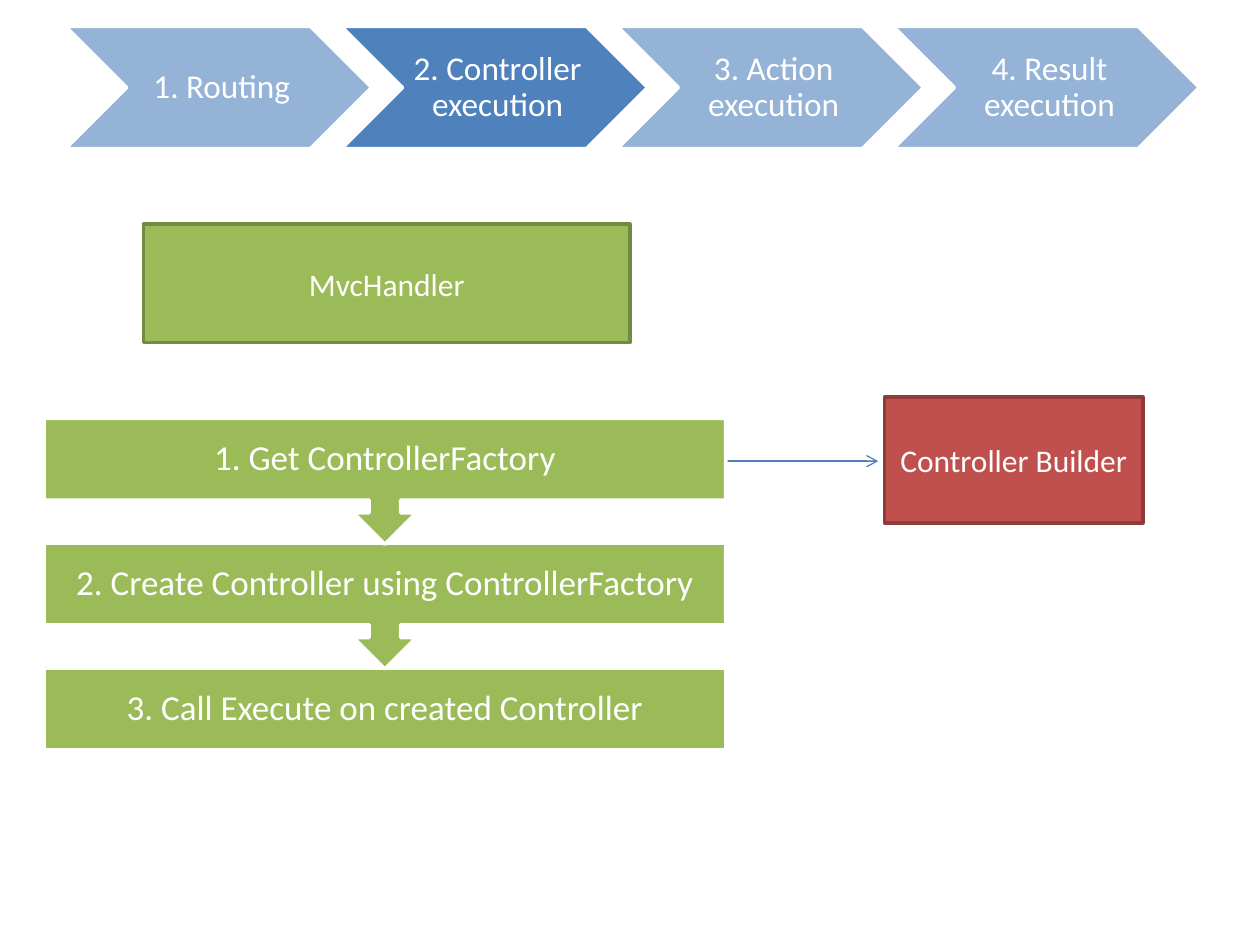
"""Build the slide on controller execution in the MVC request pipeline."""
from dataclasses import dataclass

from lxml import etree
from pptx import Presentation
from pptx.dml.color import RGBColor
from pptx.enum import shapes, text
from pptx.oxml.ns import qn
from pptx.slide import Slide
from pptx.util import Inches, Pt

COLORS = {
    "white": "FFFFFF",
    "stage": "95B3D7",
    "current_stage": "4F81BD",
    "handler": "9BBB59",
    "handler_border": "738A42",
    "builder": "C0504D",
    "builder_border": "8E3B39",
    "arrow": "4B7EBC",
}
STAGE_INSETS = (0.08, 0.03, 0.03, 0.03)
STEP_INSETS = (0.16, 0.16, 0.16, 0.16)
BOX_INSETS = (0.1, 0.05, 0.1, 0.05)


@dataclass(frozen=True)
class Block:
    label: str
    left: float
    top: float
    width: float
    height: float
    fill: str
    size: int
    border: str = "white"
    geometry: shapes.MSO_SHAPE = shapes.MSO_SHAPE.RECTANGLE
    insets: tuple[float, float, float, float] = BOX_INSETS
    line_spacing: float = 1.0


def color(name: str) -> RGBColor:
    return RGBColor.from_string(COLORS[name])


def draw_block(slide: Slide, block: Block) -> None:
    shape = slide.shapes.add_shape(
        block.geometry, Inches(block.left), Inches(block.top),
        Inches(block.width), Inches(block.height))
    shape.shadow.inherit = False
    shape.fill.solid()
    shape.fill.fore_color.rgb = color(block.fill)
    shape.line.color.rgb = color(block.border)
    shape.line.width = Pt(2)

    frame = shape.text_frame
    frame.word_wrap = True
    frame.vertical_anchor = text.MSO_ANCHOR.MIDDLE
    (frame.margin_left, frame.margin_top,
     frame.margin_right, frame.margin_bottom) = map(Inches, block.insets)
    paragraph = frame.paragraphs[0]
    paragraph.alignment = text.PP_ALIGN.CENTER
    paragraph.line_spacing = block.line_spacing
    run = paragraph.add_run()
    run.text = block.label
    run.font.name = "Calibri"
    run.font.size = Pt(block.size)
    run.font.color.rgb = color("white")


def draw_arrow(slide: Slide, start: float, end: float, y: float) -> None:
    arrow = slide.shapes.add_connector(
        shapes.MSO_CONNECTOR.STRAIGHT,
        Inches(start), Inches(y), Inches(end), Inches(y))
    arrow.line.color.rgb = color("arrow")
    arrow.line.width = Pt(0.75)
    etree.SubElement(arrow.line._get_or_add_ln(), qn("a:tailEnd"), type="arrow")
    etree.SubElement(arrow._element.spPr, qn("a:effectLst"))


def draw_stages(slide: Slide, labels: list[str], current: int) -> None:
    for index, label in enumerate(labels):
        draw_block(slide, Block(
            label, 0.52 + 2.19 * index, 0.21, 2.43, 0.97,
            "current_stage" if index == current else "stage", 19,
            geometry=shapes.MSO_SHAPE.CHEVRON,
            insets=STAGE_INSETS, line_spacing=0.9))


def draw_steps(slide: Slide, labels: list[str]) -> None:
    last = len(labels) - 1
    for index, label in reversed(list(enumerate(labels))):
        geometry, height = (
            (shapes.MSO_SHAPE.RECTANGLE, 0.65) if index == last
            else (shapes.MSO_SHAPE.DOWN_ARROW_CALLOUT, 1))
        draw_block(slide, Block(
            label, 0.35, 3.32 + 0.99 * index, 5.41, height, "handler", 20,
            geometry=geometry, insets=STEP_INSETS, line_spacing=0.9))


def main() -> None:
    deck = Presentation()
    deck.slide_width, deck.slide_height = Inches(10), Inches(7.5)
    slide = deck.slides.add_slide(deck.slide_layouts[6])

    draw_stages(slide, ["1. Routing", "2. Controller execution",
                        "3. Action execution", "4. Result execution"], current=1)
    draw_block(slide, Block("MvcHandler", 1.14, 1.78, 3.86, 0.94,
                            "handler", 18, "handler_border"))
    draw_block(slide, Block("Controller Builder", 7.02, 3.15, 2.05, 1,
                            "builder", 18, "builder_border"))
    draw_arrow(slide, 5.74, 6.97, 3.66)
    draw_steps(slide, ["1. Get ControllerFactory",
                       "2. Create Controller using ControllerFactory",
                       "3. Call Execute on created Controller"])
    deck.save("out.pptx")


if __name__ == "__main__":
    main()
